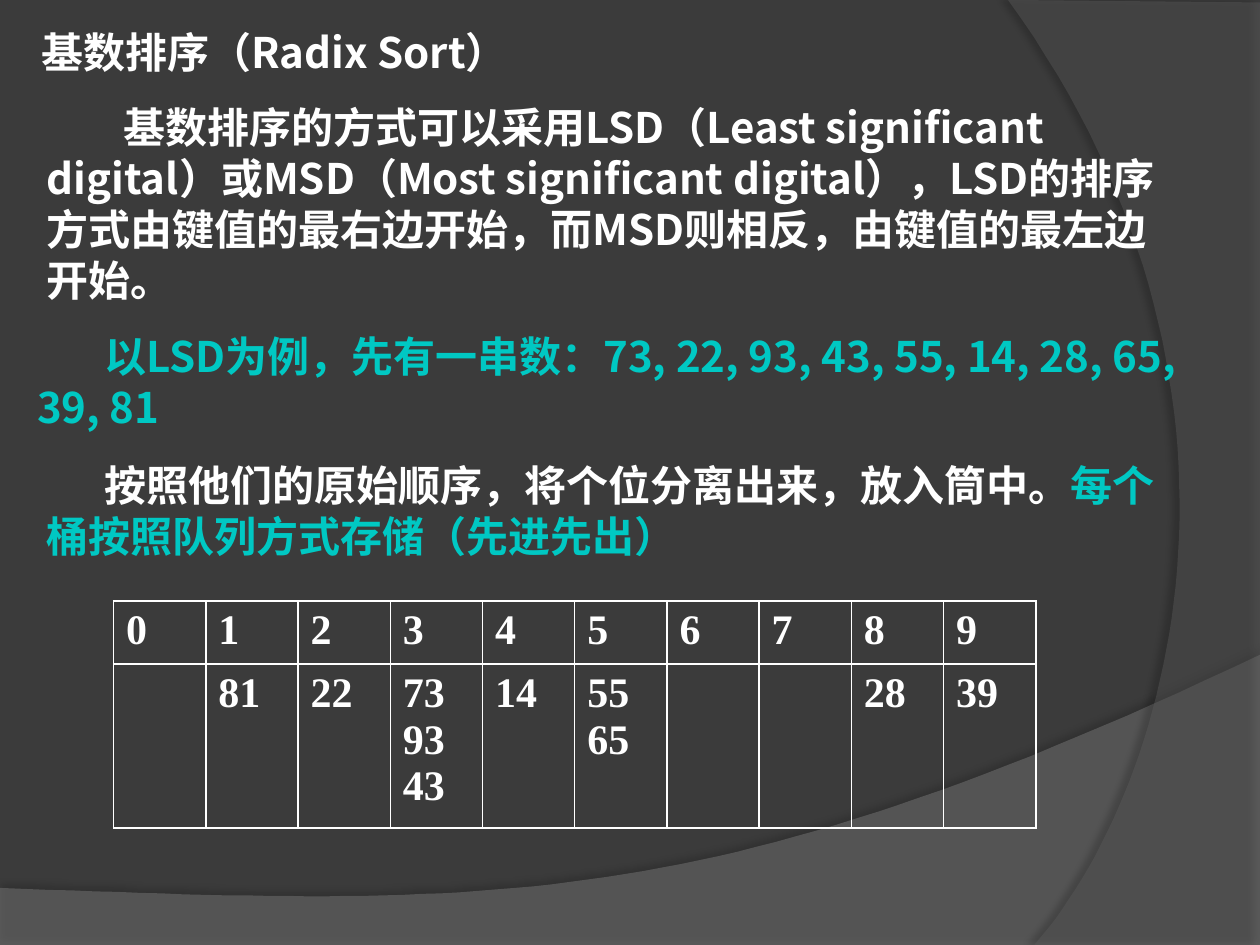
import pptx
import pptx.dml.color
import pptx.enum.text
import pptx.util
from lxml import etree
from pptx.oxml.ns import qn
from pptx.util import Cm, Pt

COLORS = {
    "background": "3B3B3B",
    "wave": "7F7F7F",
    "arc": "5E5E5E",
    "shadow": "000000",
    "text": "FFFFFF",
    "accent": "00C8C3",
}
BODY_FONT = "Noto Sans CJK SC"
TABLE_FONT = "Times New Roman"
TITLE_ONLY = 5
CURVE_STEPS = 60

EXPLANATION = (
    "基数排序的方式可以采用LSD（Least significant digital）或MSD"
    "（Most significant digital），LSD的排序方式由键值的最右边开始，"
    "而MSD则相反，由键值的最左边开始。"
)
EXAMPLE = "以LSD为例，先有一串数：73, 22, 93, 43, 55, 14, 28, 65, 39, 81"
NUMBERS = [73, 22, 93, 43, 55, 14, 28, 65, 39, 81]


def rgb(name):
    return pptx.dml.color.RGBColor.from_string(COLORS[name])


def add_child(parent, tag, **attributes):
    values = {key: str(value) for key, value in attributes.items()}
    return etree.SubElement(parent, qn(tag), values)


def curve(start, control_1, control_2, end):
    """Return points along a cubic Bezier curve, without its start."""
    points = []
    for step in range(1, CURVE_STEPS + 1):
        t = step / CURVE_STEPS
        weights = ((1 - t) ** 3, 3 * t * (1 - t) ** 2, 3 * t * t * (1 - t), t ** 3)
        corners = (start, control_1, control_2, end)
        points.append(tuple(sum(w * c[axis] for w, c in zip(weights, corners))
                            for axis in (0, 1)))
    return points


def add_sheet(slide, box, points, color, opacity, shadow):
    """Draw a translucent outline; shadow is (opacity, distance, degrees)."""
    left, top = box[:2]
    placed = [((left + x) * 100, (top + y) * 100) for x, y in points]
    builder = slide.shapes.build_freeform(*placed[0], scale=Cm(0.01))
    builder.add_line_segments(placed[1:], close=True)
    sheet = builder.convert_to_shape()
    sheet.fill.solid()
    sheet.fill.fore_color.rgb = rgb(color)
    fill_color = sheet._element.spPr.find(qn("a:solidFill"))[0]
    add_child(fill_color, "a:alpha", val=opacity * 1000)
    sheet.line.fill.background()
    sheet.shadow.inherit = False
    strength, distance, degrees = shadow
    effects = sheet._element.spPr.find(qn("a:effectLst"))
    outer = add_child(effects, "a:outerShdw", blurRad=Pt(4), dist=Pt(distance),
                      dir=degrees * 60000, rotWithShape=0)
    shade = add_child(outer, "a:srgbClr", val=COLORS["shadow"])
    add_child(shade, "a:alpha", val=strength * 1000)


def draw_backdrop(slide, box):
    width, height = box[2:]
    slide.background.fill.solid()
    slide.background.fill.fore_color.rgb = rgb("background")
    wave_start = (width, 13.2)
    wave = [(0, height), wave_start]
    wave += curve(wave_start, (14.2, 18.52), (9.93, 18.26), (0, 17.9))
    add_sheet(slide, box, [(width, height)] + wave[1:] + wave[:1],
              "wave", 45, (35, 3.5, 270))
    arc_start = (20.85, height)
    arc = [(width, 0.05), (width, height), arc_start]
    arc += curve(arc_start, (23.75, 15.72), (25.86, 7.62), (20.32, 0))
    add_sheet(slide, box, arc, "arc", 40, (45, 4, 180))


def add_run(paragraph, text, color, font):
    run = paragraph.add_run()
    run.text = text
    run.font.size = Pt(24)
    run.font.bold = True
    run.font.color.rgb = rgb(color)
    run.font.name = font
    add_child(run.font._element, "a:ea", typeface=font)


def write_passage(frame, runs, indent=0):
    """Fill a text frame with one left-aligned paragraph of (text, color) runs."""
    frame.word_wrap = True
    frame.auto_size = pptx.enum.text.MSO_AUTO_SIZE.NONE
    frame.vertical_anchor = pptx.enum.text.MSO_ANCHOR.TOP
    paragraph = frame.paragraphs[0]
    paragraph.alignment = pptx.enum.text.PP_ALIGN.LEFT
    paragraph.line_spacing = Pt(29)
    paragraph._p.get_or_add_pPr().set("indent", str(Cm(indent)))
    for text, color in runs:
        add_run(paragraph, text, color, BODY_FONT)


def place_title(slide, box):
    title = slide.shapes.title
    title.left, title.top, title.width, title.height = map(Cm, box)
    write_passage(title.text_frame, [("基数排序（Radix Sort）", "text")])


def add_passage(slide, box, runs, indent):
    passage = slide.shapes.add_textbox(*map(Cm, box))
    write_passage(passage.text_frame, runs, indent)


def format_cell(cell, lines):
    properties = cell._tc.get_or_add_tcPr()
    for side in ("a:lnL", "a:lnR", "a:lnT", "a:lnB"):
        border = add_child(properties, side, w=Pt(1))
        add_child(add_child(border, "a:solidFill"), "a:srgbClr", val=COLORS["text"])
    cell.fill.background()
    frame = cell.text_frame
    for index, line in enumerate(lines):
        paragraph = frame.add_paragraph() if index else frame.paragraphs[0]
        add_run(paragraph, str(line), "text", TABLE_FONT)


def add_buckets(slide, box):
    """Sort the numbers into ten buckets by their last digit."""
    buckets = slide.shapes.add_table(2, 10, *map(Cm, box)).table
    buckets.first_row = False
    buckets.horz_banding = False
    header_height = 1.27
    buckets.rows[0].height = Cm(header_height)
    buckets.rows[1].height = Cm(box[3] - header_height)
    for digit in range(10):
        buckets.columns[digit].width = Cm(box[2] / 10)
        format_cell(buckets.cell(0, digit), [digit])
        format_cell(buckets.cell(1, digit), [n for n in NUMBERS if n % 10 == digit])


def main():
    deck = pptx.Presentation()
    deck.slide_width, deck.slide_height = Cm(25.4), Cm(19.05)
    slide = deck.slides.add_slide(deck.slide_layouts[TITLE_ONLY])
    draw_backdrop(slide, (0, 0, 25.4, 19.05))
    place_title(slide, (0.58, 0.4, 11.6, 1.27))
    add_passage(slide, (0.69, 1.92, 23.2, 4.32), [(EXPLANATION, "text")], 1.55)
    add_passage(slide, (0.5, 6.53, 23.8, 2.3), [(EXAMPLE, "accent")], 1.35)
    add_passage(slide, (0.69, 9.13, 23.2, 2.3), [
        ("按照他们的原始顺序，将个位分离出来，放入筒中。", "text"),
        ("每个桶按照队列方式存储（先进先出）", "accent"),
    ], 1.17)
    add_buckets(slide, (2.29, 12.12, 18.59, 4.57))
    deck.save("out.pptx")


if __name__ == "__main__":
    main()
